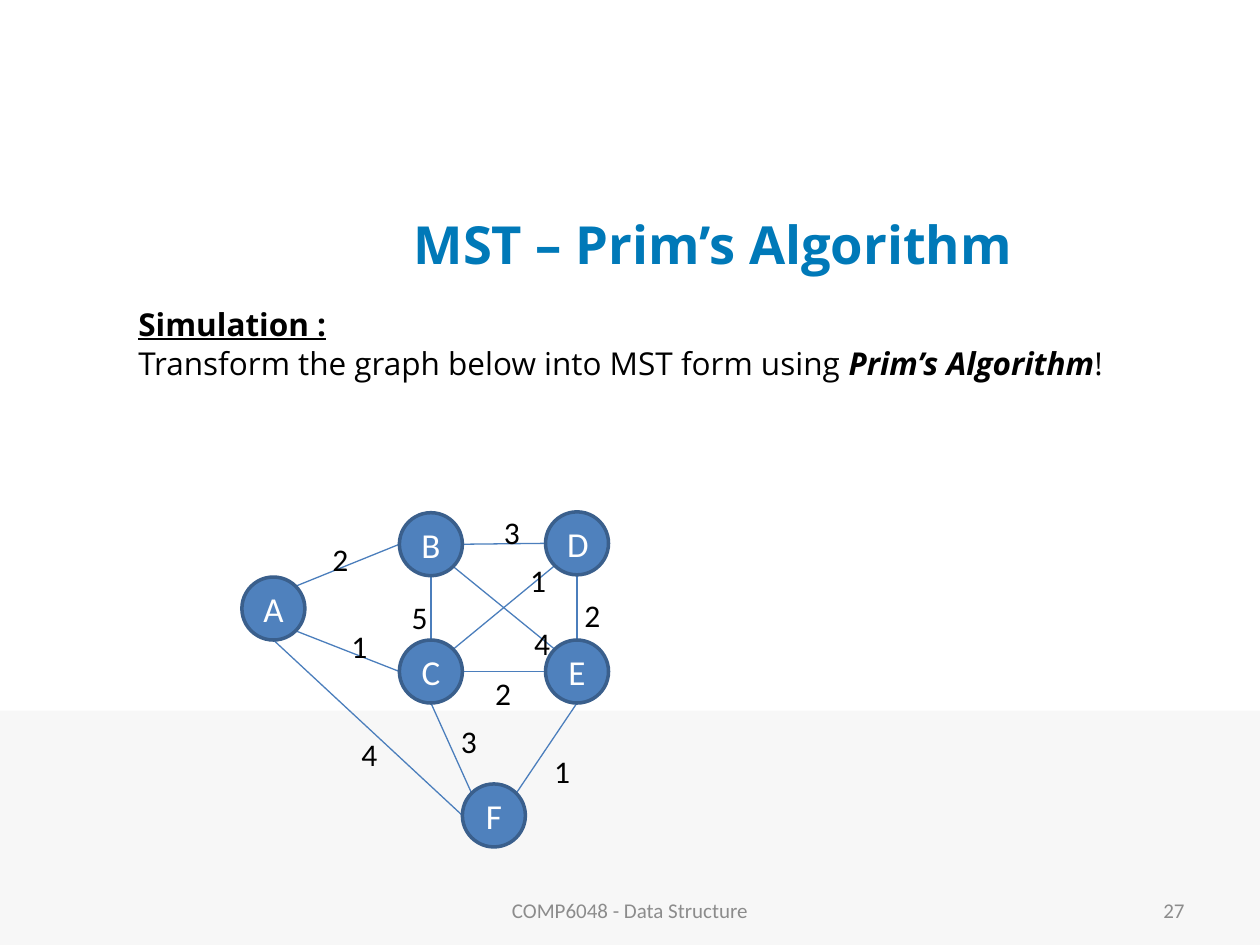
from pptx import Presentation
from pptx.dml.color import RGBColor
from pptx.enum import shapes, text
from pptx.oxml import parse_xml
from pptx.oxml.ns import nsdecls
from pptx.util import Pt

BLUE_TITLE = RGBColor(0x00, 0x79, 0xB8)
NODE_FILL = RGBColor(0x4F, 0x81, 0xBD)
NODE_LINE = RGBColor(0x3A, 0x5F, 0x8C)
EDGE_LINE = RGBColor(0x4B, 0x7E, 0xBC)
BAND = RGBColor(0xF7, 0xF7, 0xF7)
GREY = RGBColor(0x8C, 0x8C, 0x8C)
BLACK = RGBColor(0, 0, 0)
WHITE = RGBColor(255, 255, 255)

# Content: lengths in points
TITLE = "MST – Prim’s Algorithm"
# Each paragraph is a list of (words, bold, italic, underline)
BODY = [
    [("Simulation :", True, False, True)],
    [("Transform the graph below into MST form using ", False, False, False),
     ("Prim’s Algorithm", True, True, False),
     ("!", False, False, False)],
]
# Node centres
NODES = {
    "A": (156.25, 347.75), "B": (246.25, 311), "C": (246.25, 383.75),
    "D": (329.75, 310.5), "E": (329.75, 383.75), "F": (282.25, 466),
}
# Start node and side, end node and side, weight, top left of the weight
EDGES = [
    ("A", "NE", "B", "W", 2, (182.9, 305.3)),
    ("A", "SE", "C", "W", 1, (193.7, 355)),
    ("B", "E", "D", "W", 3, (280.8, 289.4)),
    ("D", "S", "E", "N", 2, (326.9, 337)),
    ("C", "E", "E", "W", 2, (275.8, 381.6)),
    ("B", "S", "C", "N", 5, (228.2, 338.4)),
    ("D", "SW", "C", "NE", 1, (295.9, 316.8)),
    ("B", "SE", "E", "NW", 4, (298.1, 352.8)),
    ("A", "S", "F", "W", 4, (199.4, 416.2)),
    ("F", "NE", "E", "S", 1, (309.6, 426.2)),
    ("C", "S", "F", "NW", 3, (256.3, 409)),
]
RADIUS = 18
DIAGONAL = 0.71


def add_run(para, words, size, color, font="Calibri", bold=False, italic=False, underline=False):
    span = para.add_run()
    span.text = words
    style = span.font
    style.name, style.size, style.color.rgb = font, Pt(size), color
    style.bold, style.italic, style.underline = bold, italic, underline


def add_box(page, left, top, width, height, anchor=text.MSO_ANCHOR.TOP, wrap=True):
    box = page.shapes.add_textbox(Pt(left), Pt(top), Pt(width), Pt(height))
    box.text_frame.word_wrap = wrap
    box.text_frame.vertical_anchor = anchor
    return box


def add_filled(page, kind, left, top, width, height, fill):
    shape = page.shapes.add_shape(kind, Pt(left), Pt(top), Pt(width), Pt(height))
    shape.shadow.inherit = False
    shape.fill.solid()
    shape.fill.fore_color.rgb = fill
    return shape


def side_point(node, side):
    """Point on the node's circle in a compass direction."""
    x, y = NODES[node]
    reach = RADIUS * (DIAGONAL if len(side) == 2 else 1)
    dx = ("E" in side) - ("W" in side)
    dy = ("S" in side) - ("N" in side)
    return Pt(x + dx * reach), Pt(y + dy * reach)


def add_node(page, name):
    x, y = NODES[name]
    circle = add_filled(page, shapes.MSO_SHAPE.OVAL, x - RADIUS, y - RADIUS,
                        2 * RADIUS, 2 * RADIUS, NODE_FILL)
    circle.line.color.rgb = NODE_LINE
    circle.line.width = Pt(2)
    frame = circle.text_frame
    frame.vertical_anchor = text.MSO_ANCHOR.MIDDLE
    frame.paragraphs[0].alignment = text.PP_ALIGN.CENTER
    add_run(frame.paragraphs[0], name, 20, WHITE)


def add_edge(page, start, start_side, end, end_side):
    edge = page.shapes.add_connector(shapes.MSO_CONNECTOR.STRAIGHT,
                                     *side_point(start, start_side), *side_point(end, end_side))
    edge.line.color.rgb = EDGE_LINE
    edge.line.width = Pt(0.75)
    edge._element.spPr.append(parse_xml(f"<a:effectLst {nsdecls('a')}/>"))


def main():
    deck = Presentation()
    deck.slide_width, deck.slide_height = Pt(720), Pt(540)
    page = deck.slides.add_slide(deck.slide_layouts[5])

    # Lower band
    band = add_filled(page, shapes.MSO_SHAPE.RECTANGLE, 0, 406, 720, 134, BAND)
    band.line.fill.background()

    # Title
    title = page.shapes.title
    title.left, title.top, title.width, title.height = Pt(138), Pt(108), Pt(539), Pt(62.5)
    title.text_frame.vertical_anchor = text.MSO_ANCHOR.MIDDLE
    title.text_frame.paragraphs[0].alignment = text.PP_ALIGN.CENTER
    add_run(title.text_frame.paragraphs[0], TITLE, 30, BLUE_TITLE, "Open Sans", bold=True)

    # Footer and page number
    for words, left, width, align in [
        ("COMP6048 - Data Structure", 246, 228, text.PP_ALIGN.CENTER),
        ("27", 516, 168, text.PP_ALIGN.RIGHT),
    ]:
        box = add_box(page, left, 505.5, width, 28.75, text.MSO_ANCHOR.MIDDLE)
        para = box.text_frame.paragraphs[0]
        para.alignment = align
        add_run(para, words, 12, GREY)

    # Task
    frame = add_box(page, 72, 170.5, 618, 338).text_frame
    for number, spans in enumerate(BODY):
        para = frame.add_paragraph() if number else frame.paragraphs[0]
        if number:
            para.space_before = Pt(1.2)
        for words, bold, italic, underline in spans:
            add_run(para, words, 18, BLACK, "Open Sans", bold, italic, underline)

    # Graph: edges, nodes, weights
    for start, start_side, end, end_side, _, _ in EDGES:
        add_edge(page, start, start_side, end, end_side)
    for name in NODES:
        add_node(page, name)
    for *_, weight, (left, top) in EDGES:
        box = add_box(page, left, top, 21, 21.6, wrap=False)
        box.text_frame.auto_size = text.MSO_AUTO_SIZE.SHAPE_TO_FIT_TEXT
        add_run(box.text_frame.paragraphs[0], str(weight), 18, BLACK)

    deck.save("out.pptx")


if __name__ == "__main__":
    main()
